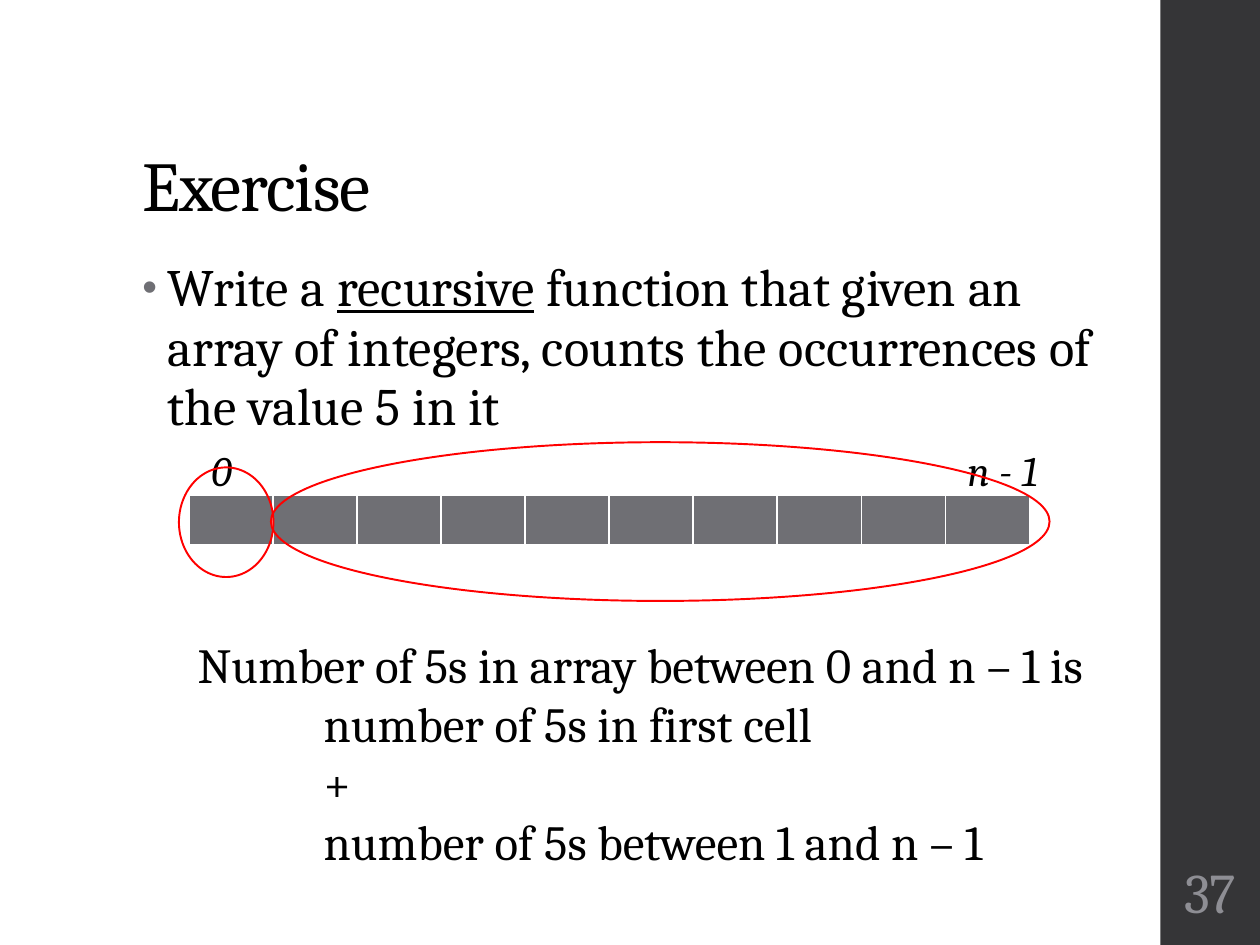
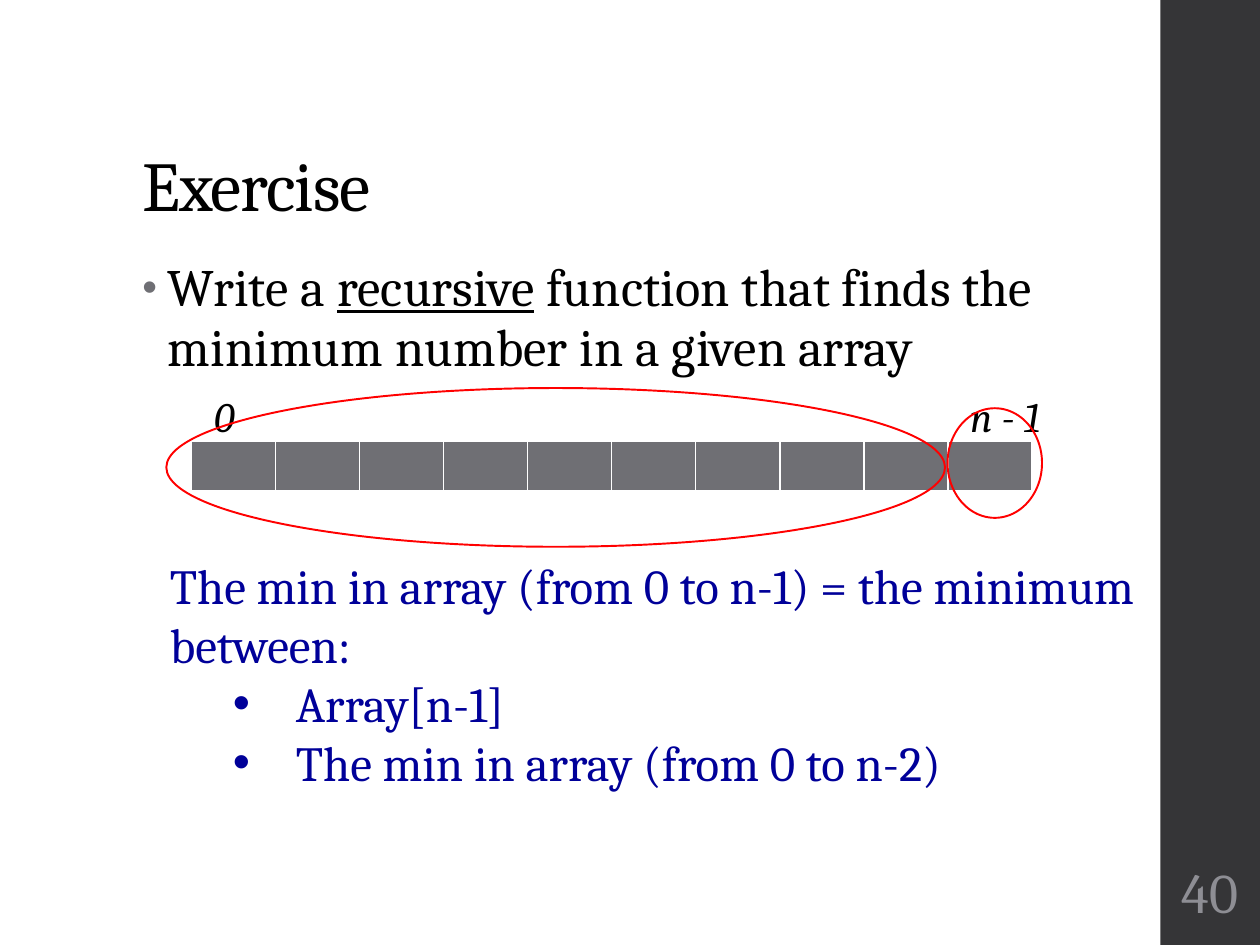
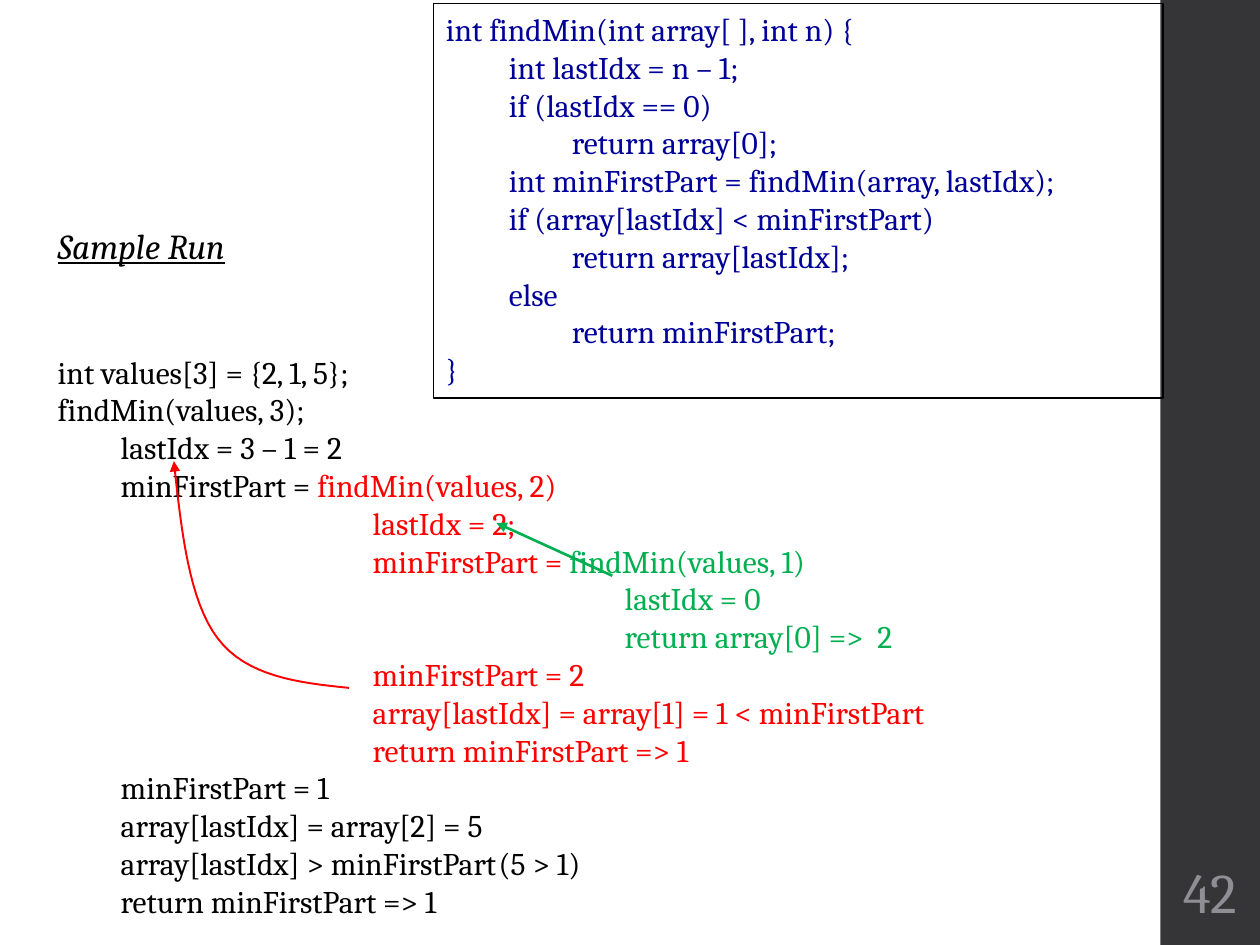
from lxml.etree import SubElement
from pptx import Presentation
from pptx.dml.color import RGBColor
from pptx.enum.shapes import MSO_CONNECTOR, MSO_SHAPE
from pptx.enum.text import MSO_ANCHOR, PP_ALIGN
from pptx.oxml.ns import qn
from pptx.util import Inches, Pt

FONT = "Cambria"
COLORS = {name: RGBColor.from_string(value) for name, value in {
    "black": "000000", "white": "FFFFFF", "band": "353537", "number": "8E8E94",
    "gray": "6F6F74", "blue": "000099", "red": "FF0000", "green": "00B050"}.items()}


def add_text(page, place, lines, size, color="black", tab=None):
    """Add a text box; a line is a string or a list of (text, color) spans."""
    box = page.shapes.add_textbox(*map(Inches, place))
    frame = box.text_frame
    frame.word_wrap = True
    for index, line in enumerate(lines):
        para = frame.paragraphs[0] if index == 0 else frame.add_paragraph()
        if tab:
            stops = SubElement(para._p.get_or_add_pPr(), qn("a:tabLst"))
            for stop in range(1, 10):
                SubElement(stops, qn("a:tab"), pos=str(Inches(tab * stop)), algn="l")
        para.font.name, para.font.size = FONT, Pt(size)
        if isinstance(line, str):
            para.add_run().text = line
            para.font.color.rgb = COLORS[color]
        else:
            for text, span_color in line:
                span = para.add_run()
                span.text = text
                span.font.color.rgb = COLORS[span_color]
    return box


def style_line(shape, color, width, arrow=False):
    """Outline a shape or connector, without shadow, with an optional arrowhead."""
    shape.line.color.rgb = COLORS[color]
    shape.line.width = Pt(width)
    if arrow:
        SubElement(shape.line._get_or_add_ln(), qn("a:tailEnd"), type="triangle")
    SubElement(shape._element.spPr, qn("a:effectLst"))


deck = Presentation()
deck.slide_width, deck.slide_height = Inches(10), Inches(7.5)

# Pages with the side band and page number
pages = []
for layout, number in ((1, "37"), (1, "40"), (6, "42")):
    page = deck.slides.add_slide(deck.slide_layouts[layout])
    if layout == 6:
        title = page.shapes.title
        title._element.getparent().remove(title._element) if title is not None else None
    band = page.shapes.add_shape(MSO_SHAPE.RECTANGLE, Inches(9.21), 0, Inches(0.8), Inches(7.5))
    band.shadow.inherit = False
    band.fill.solid()
    band.fill.fore_color.rgb = COLORS["band"]
    band.line.fill.background()
    frame = add_text(page, (9.23, 6.75, 0.75, 0.65), [number], 32, "number").text_frame
    frame.margin_left = frame.margin_right = Inches(0.03)
    frame.vertical_anchor = MSO_ANCHOR.MIDDLE
    frame.paragraphs[0].alignment = PP_ALIGN.CENTER
    pages.append(page)

# Exercise pages: task, array left and top, ellipses
exercises = [
    (" function that given an array of integers, counts the occurrences of the value 5 in it",
     1.5, 3.93, [(1.42, 3.71, 0.75, 0.87), (2.15, 3.51, 6.18, 1.26)]),
    (" function that finds the minimum number in a given array",
     1.52, 3.5, [(7.52, 3.24, 0.75, 0.87), (1.32, 3.08, 6.18, 1.26)]),
]
for page, (task, left, top, ellipses) in zip(pages, exercises):
    # Title
    title = page.shapes.title
    title.left, title.top, title.width, title.height = map(Inches, (1.03, 0.4, 7.95, 1.45))
    title.text_frame.text = "Exercise"
    title.text_frame.vertical_anchor = MSO_ANCHOR.BOTTOM
    para = title.text_frame.paragraphs[0]
    para.alignment, para.line_spacing = PP_ALIGN.LEFT, 0.9
    para.font.name, para.font.size = FONT, Pt(40)
    para.font.color.rgb = COLORS["black"]
    para.runs[0].font._element.set("spc", "-50")

    # Task
    body = page.placeholders[1]
    body.left, body.top, body.width, body.height = map(Inches, (1.03, 2, 8.2, 4.76))
    para = body.text_frame.paragraphs[0]
    properties = para._p.get_or_add_pPr()
    properties.set("marL", str(Inches(0.2)))
    properties.set("indent", str(Inches(-0.2)))
    SubElement(SubElement(properties, qn("a:buClr")), qn("a:srgbClr"), val=str(COLORS["gray"]))
    SubElement(properties, qn("a:buSzPct"), val="80000")
    SubElement(properties, qn("a:buFont"), typeface="Arial")
    SubElement(properties, qn("a:buChar"), char="•")
    para.line_spacing, para.space_before, para.space_after = 0.95, Pt(0), Pt(2)
    para.font.name, para.font.size = FONT, Pt(30)
    para.font.color.rgb = COLORS["black"]
    for text in ("Write a ", "recursive", task):
        span = para.add_run()
        span.text = text
        span.font._element.set("spc", "10")
        if text == "recursive":
            span.font.underline = True

    # Array cells
    table = page.shapes.add_table(1, 10, Inches(left), Inches(top), Inches(6.67), Inches(0.41)).table
    table.first_row = table.horz_banding = False
    for column, cell in zip(table.columns, table.rows[0].cells):
        column.width = Inches(0.667)
        for side, width in (("L", 1), ("R", 1), ("T", 1), ("B", 3)):
            border = SubElement(cell._tc.get_or_add_tcPr(), qn(f"a:ln{side}"), w=str(Pt(width)))
            SubElement(SubElement(border, qn("a:solidFill")), qn("a:srgbClr"), val=str(COLORS["white"]))
        cell.fill.solid()
        cell.fill.fore_color.rgb = COLORS["gray"]

    # Index labels
    for text, offset, width in (("0", 0.08, 0.58), ("n - 1", 6.08, 0.92)):
        label = add_text(page, (left + offset, top - 0.45, width, 0.5), [text], 24)
        label.text_frame.paragraphs[0].font.italic = True

    # Ellipses around the two parts of the array
    for place in ellipses:
        ellipse = page.shapes.add_shape(MSO_SHAPE.OVAL, *map(Inches, place))
        ellipse.fill.background()
        style_line(ellipse, "red", 1.1)

# Recursive rules
add_text(pages[0], (1.47, 4.99, 7.75, 1.99), [
    "Number of 5s in array between 0 and n – 1 is",
    "\tnumber of 5s in first cell",
    "\t+",
    "\tnumber of 5s between 1 and n – 1"], 28, tab=1)

rule = add_text(pages[1], (1.25, 4.36, 8.08, 1.99), [
    "The min in array (from 0 to n-1) = the minimum between:",
    "Array[n-1]",
    "The min in array (from 0 to n-2)"], 28, "blue")
for para in rule.text_frame.paragraphs[1:]:
    para.level = 1
    properties = para._p.get_or_add_pPr()
    properties.set("marL", str(Inches(1)))
    properties.set("indent", str(Inches(-0.5)))
    bullet = SubElement(properties, qn("a:buChar"), char="•")
    properties.insert(0, bullet)
    bullet_font = SubElement(properties, qn("a:buFont"), typeface="Arial")
    properties.insert(0, bullet_font)

# Sample run: code
page = pages[2]
code = add_text(page, (3.44, 0.03, 5.79, 3.13), [
    "int findMin(int array[ ], int n) {",
    "\tint lastIdx = n – 1;",
    "\tif (lastIdx == 0)",
    "\t\treturn array[0];",
    "\tint minFirstPart = findMin(array, lastIdx);",
    "\tif (array[lastIdx] < minFirstPart)",
    "\t\treturn array[lastIdx];",
    "\telse",
    "\t\treturn minFirstPart;",
    "}"], 18, "blue", tab=0.5)
style_line(code, "black", 0.75)

# Sample run: trace, one color for each call
second, third = "\t" * 5, "\t" * 9
add_text(page, (0.36, 2.75, 8.22, 4.64), [
    "int values[3] = {2, 1, 5};",
    "findMin(values, 3);",
    "\tlastIdx = 3 – 1 = 2",
    [("\tminFirstPart = ", "black"), ("findMin(values, 2)", "red")],
    [(second + "lastIdx = 2;", "red")],
    [(second + "minFirstPart = ", "red"), ("findMin(values, 1)", "green")],
    [(third + "lastIdx = 0", "green")],
    [(third + "return array[0] =>  2", "green")],
    [(second + "minFirstPart = 2", "red")],
    [(second + "array[lastIdx] = array[1] = 1 < minFirstPart", "red")],
    [(second + "return minFirstPart => 1", "red")],
    "\tminFirstPart = 1",
    "\tarray[lastIdx] = array[2] = 5",
    "\tarray[lastIdx] > minFirstPart\t(5 > 1)",
    "\treturn minFirstPart => 1"], 18, tab=0.5)

heading = add_text(page, (0.36, 1.73, 2.75, 0.44), ["Sample Run"], 20)
heading_font = heading.text_frame.paragraphs[0].font
heading_font.italic = heading_font.underline = True

# Curved return arrow, sampled from two Bezier pieces
curves = [((2.77, 5.46), (2.37, 5.42), (1.96, 5.37), (1.73, 5.07)),
          ((1.73, 5.07), (1.5, 4.77), (1.44, 4.22), (1.38, 3.66))]
points = []
for curve in curves:
    for step in range(1, 17):
        t = step / 16
        weights = ((1 - t) ** 3, 3 * t * (1 - t) ** 2, 3 * t * t * (1 - t), t ** 3)
        points.append(tuple(Inches(sum(weight * point[axis] for weight, point in zip(weights, curve)))
                            for axis in (0, 1)))
builder = page.shapes.build_freeform(*map(Inches, curves[0][0]))
builder.add_line_segments(points, close=False)
return_arrow = builder.convert_to_shape()
return_arrow.fill.background()
style_line(return_arrow, "red", 1.1, arrow=True)

# Straight return arrow
inner_arrow = page.shapes.add_connector(
    MSO_CONNECTOR.STRAIGHT, *map(Inches, (4.86, 4.57, 3.94, 4.15)))
style_line(inner_arrow, "green", 1.5, arrow=True)

deck.save("out.pptx")
